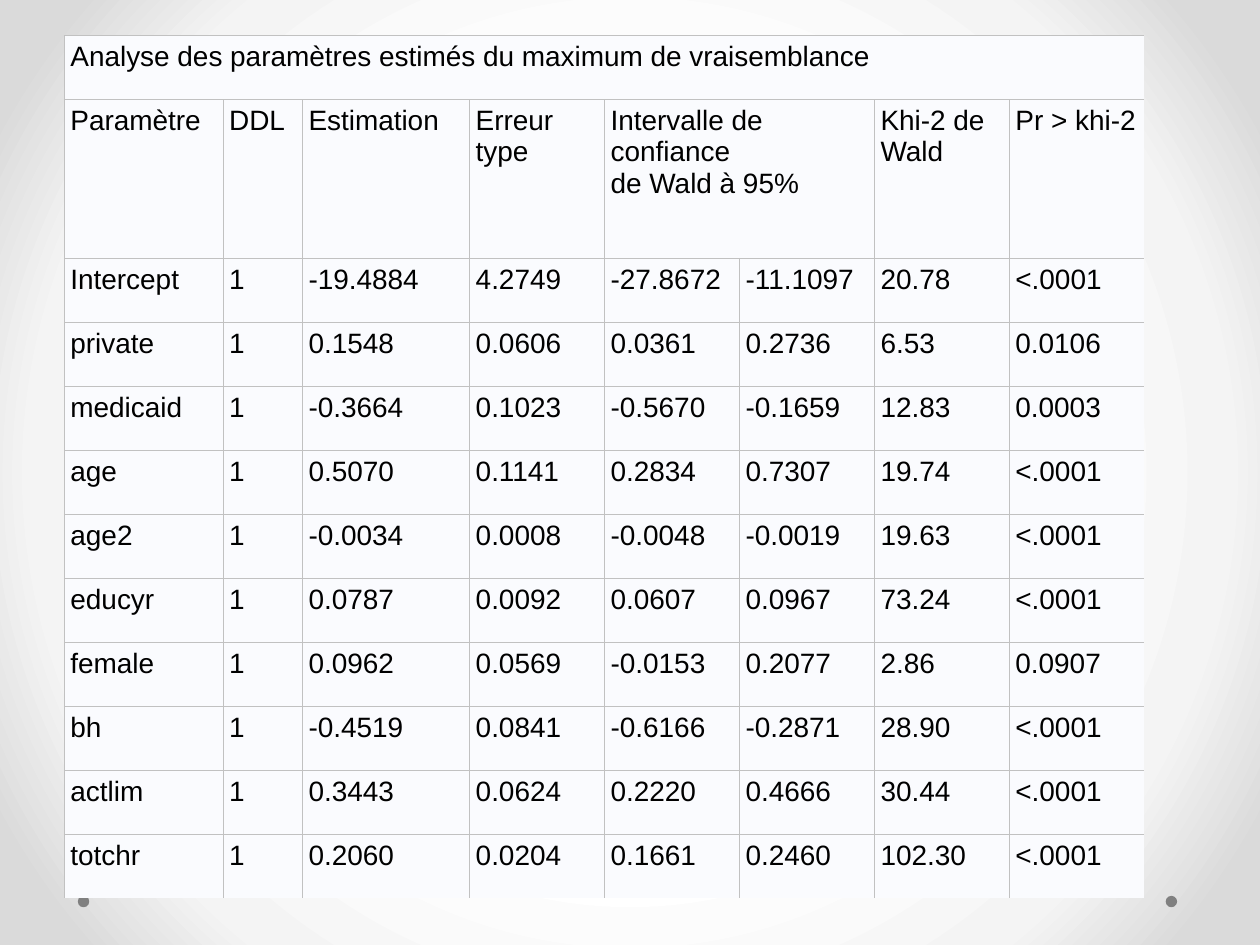
from copy import deepcopy

from lxml import etree
from pptx import Presentation, util as u
from pptx.dml.color import RGBColor
from pptx.enum import shapes
from pptx.oxml import parse_xml
from pptx.oxml.ns import nsdecls, qn

# Content
TITLE = "Analyse des paramètres estimés du maximum de vraisemblance"
HEAD = ["Paramètre", "DDL", "Estimation", "Erreur\ntype",
        "Intervalle de confiance\nde Wald à 95%", "", "Khi-2 de Wald",
        "Pr > khi-2"]
DATA = [
    ("Intercept", "1", "-19.4884", "4.2749", "-27.8672", "-11.1097", "20.78", "<.0001"),
    ("private", "1", "0.1548", "0.0606", "0.0361", "0.2736", "6.53", "0.0106"),
    ("medicaid", "1", "-0.3664", "0.1023", "-0.5670", "-0.1659", "12.83", "0.0003"),
    ("age", "1", "0.5070", "0.1141", "0.2834", "0.7307", "19.74", "<.0001"),
    ("age2", "1", "-0.0034", "0.0008", "-0.0048", "-0.0019", "19.63", "<.0001"),
    ("educyr", "1", "0.0787", "0.0092", "0.0607", "0.0967", "73.24", "<.0001"),
    ("female", "1", "0.0962", "0.0569", "-0.0153", "0.2077", "2.86", "0.0907"),
    ("bh", "1", "-0.4519", "0.0841", "-0.6166", "-0.2871", "28.90", "<.0001"),
    ("actlim", "1", "0.3443", "0.0624", "0.2220", "0.4666", "30.44", "<.0001"),
    ("totchr", "1", "0.2060", "0.0204", "0.1661", "0.2460", "102.30", "<.0001"),
]
ROWS = [[TITLE] + [""] * 7, HEAD, *DATA]

# Format
HUE = {"text": "000000", "cell": "FAFBFE", "rule": "C1C1C1", "dot": "808080"}
GLOW = [(0, "FFFFFF"), (50, "FFFFFF"), (76, "F4F4F4"), (92, "DADADA"),
        (100, "DADADA")]
WIDE = [3.2, 1.6, 3.37] + [2.72] * 5
HIGH = [1.29, 3.2] + [1.29] * len(DATA)
LEFT, TOP = 1.3, 0.72
DOTS, DOT_TOP, DOT = (1.57, 23.5), 18.06, 0.23


def write(frame, words, size=16, font="Arial", hue="text"):
    para = frame.paragraphs[0]
    para.text = words
    for run in para.runs:
        run.font.size = u.Pt(size)
        run.font.name = font
        run.font.color.rgb = RGBColor.from_string(HUE[hue])
    for gap in para._p.findall(qn("a:br")):
        gap.insert(0, deepcopy(para.runs[0].font._element))


def rule(cell, bare):
    props = cell._tc.get_or_add_tcPr()
    for spot, side in enumerate("LRTB"):
        line = etree.Element(qn("a:ln" + side), w=str(u.Pt(0.75)))
        if side in bare:
            etree.SubElement(line, qn("a:noFill"))
        else:
            fill = etree.SubElement(line, qn("a:solidFill"))
            etree.SubElement(fill, qn("a:srgbClr"), val=HUE["rule"])
        props.insert(spot, line)


def glow(slide):
    stops = "".join(f'<a:gs pos="{at * 1000}"><a:srgbClr val="{hue}"/></a:gs>'
                    for at, hue in GLOW)
    back = parse_xml(
        f'<p:bg {nsdecls("p", "a")}><p:bgPr><a:gradFill rotWithShape="1">'
        f'<a:gsLst>{stops}</a:gsLst><a:path path="circle">'
        '<a:fillToRect l="50000" t="50000" r="50000" b="50000"/></a:path>'
        '</a:gradFill><a:effectLst/></p:bgPr></p:bg>')
    slide._element.cSld.insert(0, back)


def main():
    deck = Presentation()
    deck.slide_width, deck.slide_height = u.Cm(25.4), u.Cm(19.05)
    slide = deck.slides.add_slide(deck.slide_layouts[6])
    glow(slide)

    # Corner dots
    for left in DOTS:
        dot = slide.shapes.add_shape(
            shapes.MSO_SHAPE.OVAL, u.Cm(left), u.Cm(DOT_TOP), u.Cm(DOT), u.Cm(DOT))
        dot.shadow.inherit = False
        dot.fill.solid()
        dot.fill.fore_color.rgb = RGBColor.from_string(HUE["dot"])
        dot.line.fill.background()

    # Table grid
    table = slide.shapes.add_table(
        len(ROWS), len(WIDE), u.Cm(LEFT), u.Cm(TOP),
        u.Cm(sum(WIDE)), u.Cm(sum(HIGH))).table
    table.first_row = table.horz_banding = False
    for col, wide in zip(table.columns, WIDE):
        col.width = u.Cm(wide)
    for row, high in zip(table.rows, HIGH):
        row.height = u.Cm(high)
    table.cell(0, 0).merge(table.cell(0, len(WIDE) - 1))
    table.cell(1, 4).merge(table.cell(1, 5))

    # Cells: the right and bottom edges stay open
    for r, row in enumerate(ROWS):
        for c, words in enumerate(row):
            cell = table.cell(r, c)
            cell.margin_left = cell.margin_right = u.Cm(0.12)
            cell.margin_top = cell.margin_bottom = u.Cm(0.12)
            cell.fill.solid()
            cell.fill.fore_color.rgb = RGBColor.from_string(HUE["cell"])
            bare = "R" if r == 0 or c == len(WIDE) - 1 else ""
            rule(cell, bare + ("B" if r == len(ROWS) - 1 else ""))
            if words:
                write(cell.text_frame, words)

    deck.save("out.pptx")


if __name__ == "__main__":
    main()
